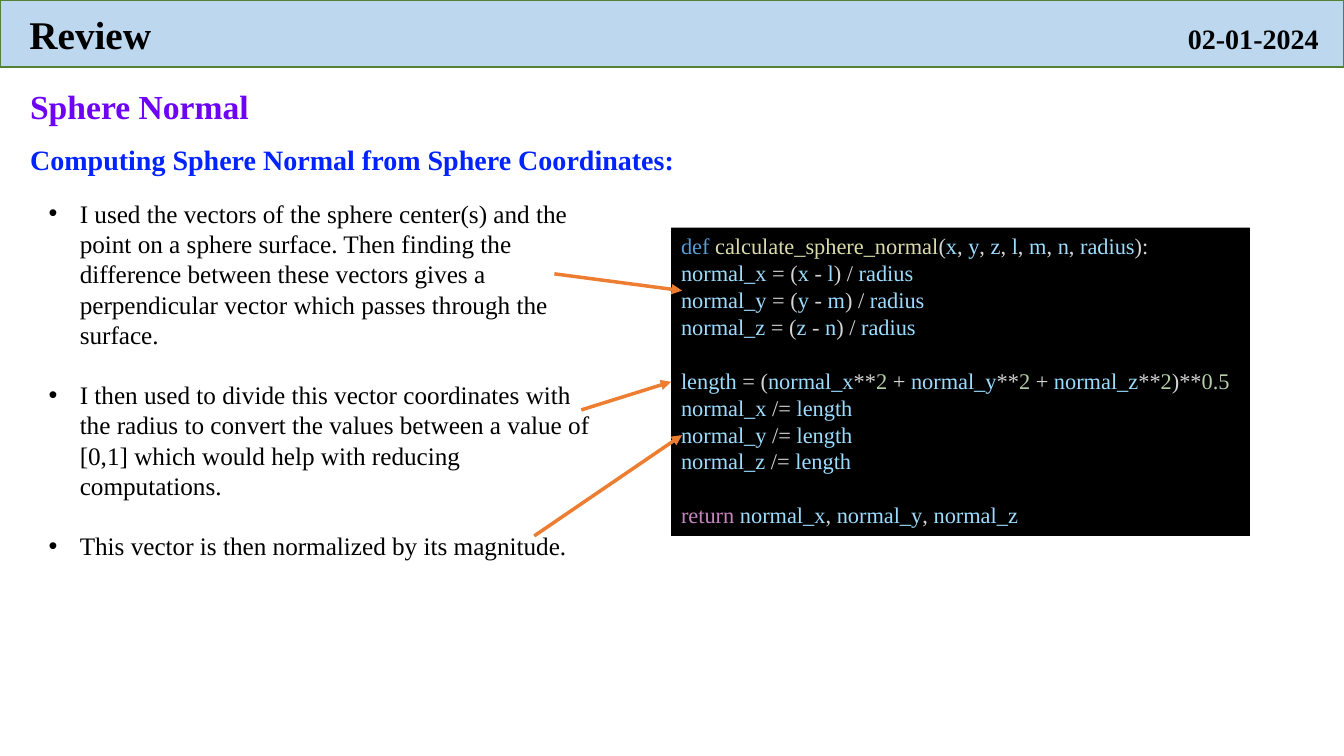
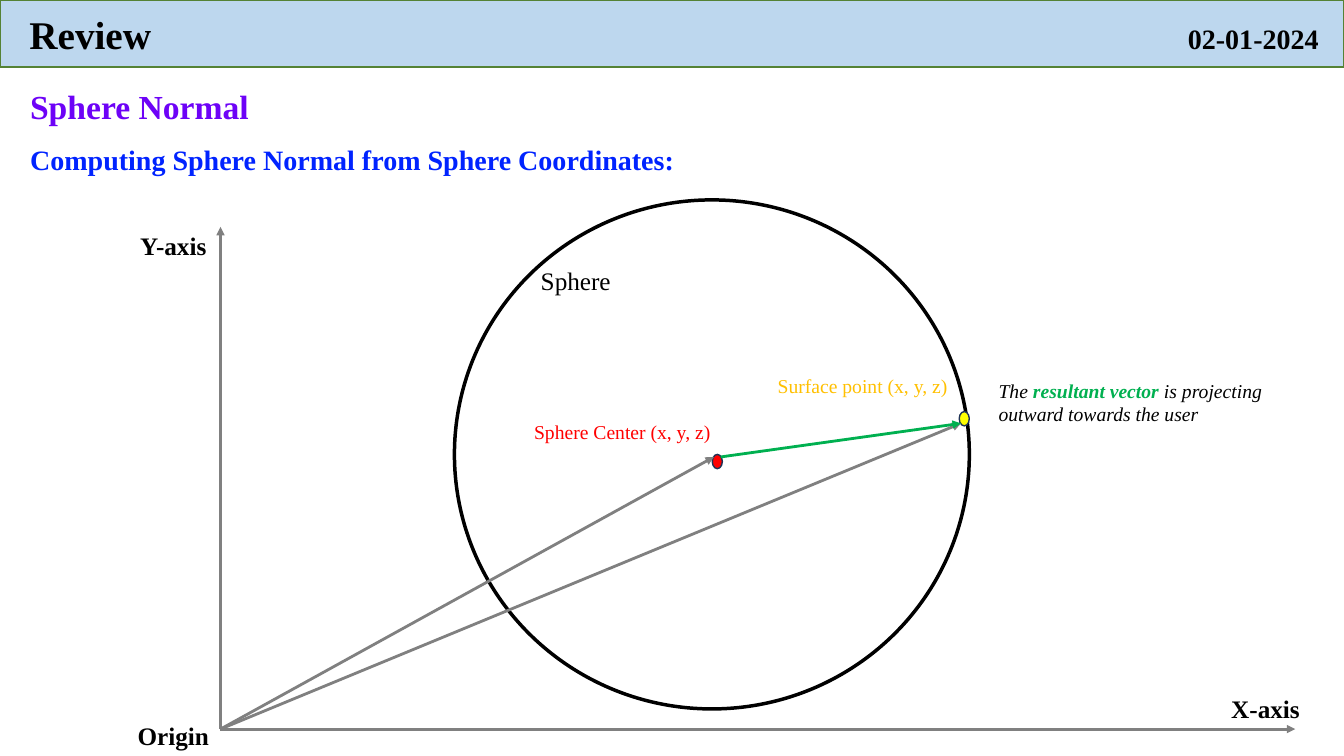
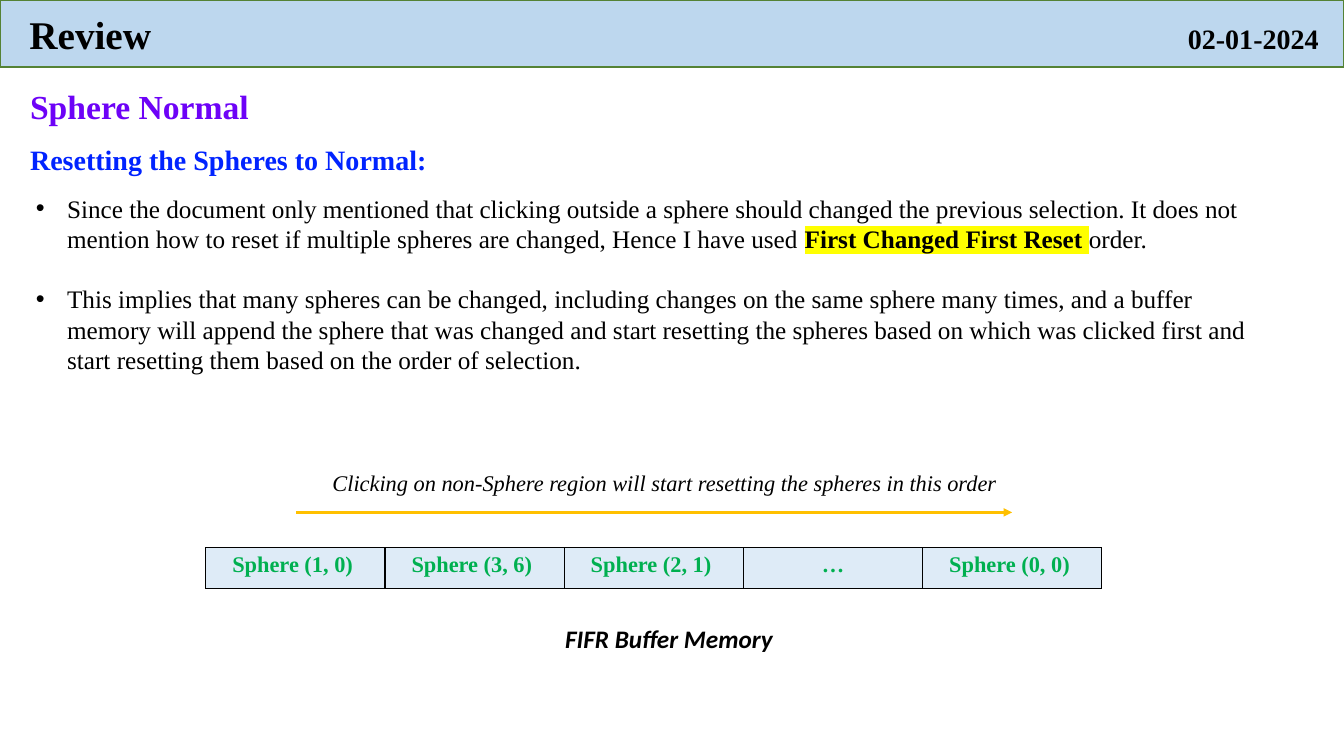
from itertools import groupby

from lxml import etree
from pptx import Presentation
from pptx.dml.color import RGBColor
from pptx.enum.shapes import MSO_CONNECTOR, MSO_SHAPE
from pptx.enum.text import MSO_ANCHOR, MSO_AUTO_SIZE, PP_ALIGN
from pptx.oxml.ns import qn
from pptx.util import Inches, Pt

RECTANGLE = MSO_SHAPE.RECTANGLE
OVAL = MSO_SHAPE.OVAL
STRAIGHT = MSO_CONNECTOR.STRAIGHT
TOP = MSO_ANCHOR.TOP
MIDDLE = MSO_ANCHOR.MIDDLE
LEFT = PP_ALIGN.LEFT
CENTER = PP_ALIGN.CENTER
GROW = MSO_AUTO_SIZE.SHAPE_TO_FIT_TEXT
LEFT_SIDE = 1

BLACK = RGBColor(0x00, 0x00, 0x00)
WHITE = RGBColor(0xFF, 0xFF, 0xFF)
BAND_BLUE = RGBColor(0xBD, 0xD7, 0xEE)
BAND_GREEN = RGBColor(0x54, 0x82, 0x35)
PURPLE = RGBColor(0x6D, 0x02, 0xF7)
BLUE = RGBColor(0x00, 0x23, 0xFF)
ORANGE = RGBColor(0xED, 0x7D, 0x31)
GRAY = RGBColor(0x80, 0x80, 0x80)
GREEN = RGBColor(0x00, 0xB0, 0x50)
RED = RGBColor(0xFF, 0x00, 0x00)
YELLOW = RGBColor(0xFF, 0xFF, 0x00)
GOLD = RGBColor(0xFF, 0xC0, 0x00)
NAVY = RGBColor(0x1E, 0x32, 0x56)
CELL_BLUE = RGBColor(0xDE, 0xEB, 0xF7)
CODE_PLAIN = RGBColor(0xD4, 0xD4, 0xD4)
CODE_VARIABLE = RGBColor(0x9C, 0xDC, 0xFE)
CODE_NUMBER = RGBColor(0xB5, 0xCE, 0xA8)
CODE_WORDS = {
    "def": RGBColor(0x56, 0x9C, 0xD6),
    "return": RGBColor(0xC5, 0x86, 0xC0),
    "calculate_sphere_normal": RGBColor(0xDC, 0xDC, 0xAA),
}

COLUMNS = 160
ROWS = 90
BULLET_INDENT = Inches(0.31)

NORMAL_CODE = [
    """def calculate_sphere_normal(x, y, z, l, m, n, radius):
normal_x = (x - l) / radius
normal_y = (y - m) / radius
normal_z = (z - n) / radius""",
    """length = (normal_x**2 + normal_y**2 + normal_z**2)**0.5
normal_x /= length
normal_y /= length
normal_z /= length""",
    "return normal_x, normal_y, normal_z",
]


def add_text(paragraph, text, size=18, color=BLACK, bold=False, italic=False,
             font="Times New Roman", highlight=None):
    run = paragraph.add_run()
    run.text = text
    run.font.size = Pt(size)
    run.font.bold = bold
    run.font.italic = italic
    run.font.color.rgb = color
    run.font.name = font
    if highlight is not None:
        marker = etree.Element(qn("a:highlight"))
        etree.SubElement(marker, qn("a:srgbClr"), val=str(highlight))
        run.font._element.find(qn("a:latin")).addprevious(marker)


def code_color(word, is_word):
    if not is_word:
        return CODE_PLAIN
    if word[0].isdigit():
        return CODE_NUMBER
    return CODE_WORDS.get(word, CODE_VARIABLE)


def is_word_character(character):
    return character.isalnum() or character in "_."


class Deck:
    def __init__(self):
        self.presentation = Presentation()
        self.presentation.slide_width = Inches(40 / 3)
        self.presentation.slide_height = Inches(7.5)
        self.slide = None

    def x(self, column):
        return round(self.presentation.slide_width * column / COLUMNS)

    def y(self, row):
        return round(self.presentation.slide_height * row / ROWS)

    def box(self, left, top, width, height):
        return self.x(left), self.y(top), self.x(width), self.y(height)

    def start_slide(self, subtitle):
        layout = self.presentation.slide_layouts[6]
        self.slide = self.presentation.slides.add_slide(layout)
        self.text((2.4, 9.6, 86.5, 6), "Sphere Normal", size=24, color=PURPLE, bold=True)
        self.band("Review", "02-01-2024")
        self.text((2.4, 16.4, 151, 5.3), subtitle, size=20, color=BLUE, bold=True)

    def band(self, title, date):
        margin, date_end = 3.5, 157
        band = self.shape(RECTANGLE, (0, 0, COLUMNS, 8), BAND_BLUE, BAND_GREEN)
        frame = band.text_frame
        frame.margin_left = self.x(margin)
        frame.vertical_anchor = MIDDLE
        paragraph = frame.paragraphs[0]
        paragraph.alignment = LEFT
        tabs = etree.SubElement(paragraph._p.get_or_add_pPr(), qn("a:tabLst"))
        etree.SubElement(tabs, qn("a:tab"), pos=str(self.x(date_end - margin)), algn="r")
        add_text(paragraph, title, size=28, bold=True)
        add_text(paragraph, "\t" + date, size=20, bold=True)

    def shape(self, kind, area, fill, line=None, width=1):
        shape = self.slide.shapes.add_shape(kind, *self.box(*area))
        shape.shadow.inherit = False
        shape.fill.solid()
        shape.fill.fore_color.rgb = fill
        if line is None:
            shape.line.fill.background()
        else:
            shape.line.color.rgb = line
            shape.line.width = Pt(width)
        return shape

    def text_frame(self, area, wrap=True):
        frame = self.slide.shapes.add_textbox(*self.box(*area)).text_frame
        frame.word_wrap = wrap
        frame.auto_size = GROW
        return frame

    def text(self, area, text, wrap=True, **style):
        add_text(self.text_frame(area, wrap).paragraphs[0], text, **style)

    def rich_text(self, area, runs):
        paragraph = self.text_frame(area).paragraphs[0]
        for text, style in runs:
            add_text(paragraph, text, **style)

    def bullets(self, area, items):
        frame = self.text_frame(area)
        for index, runs in enumerate(items):
            paragraph = frame.add_paragraph() if index else frame.paragraphs[0]
            if index:
                paragraph.space_before = Pt(21.6)
            properties = paragraph._p.get_or_add_pPr()
            properties.set("marL", str(BULLET_INDENT))
            properties.set("indent", str(-BULLET_INDENT))
            etree.SubElement(properties, qn("a:buFont"), typeface="Arial")
            etree.SubElement(properties, qn("a:buChar"), char="•")
            for text, style in runs:
                add_text(paragraph, text, **style)

    def code(self, area, blocks):
        panel = self.shape(RECTANGLE, area, BLACK)
        frame = panel.text_frame
        frame.vertical_anchor = TOP
        frame.word_wrap = True
        lines = [(line, number == 0) for block in blocks
                 for number, line in enumerate(block.splitlines())]
        for index, (line, opens_block) in enumerate(lines):
            paragraph = frame.add_paragraph() if index else frame.paragraphs[0]
            paragraph.alignment = LEFT
            if index and opens_block:
                paragraph.space_before = Pt(19.2)
            for is_word, characters in groupby(line, is_word_character):
                token = "".join(characters)
                add_text(paragraph, token, size=16, color=code_color(token, is_word))
        return panel

    def arrow(self, start, end, color, width=2.0, target=None):
        connector = self.slide.shapes.add_connector(
            STRAIGHT, self.x(start[0]), self.y(start[1]), self.x(end[0]), self.y(end[1]))
        if target is not None:
            connector.end_connect(target, LEFT_SIDE)
        connector.line.color.rgb = color
        connector.line.width = Pt(width)
        line = connector.line._get_or_add_ln()
        etree.SubElement(line, qn("a:tailEnd"), type="triangle")
        etree.SubElement(connector._element.spPr, qn("a:effectLst"))

    def table_row(self, area, values, **style):
        frame = self.slide.shapes.add_table(1, len(values), *self.box(*area))
        table = frame.table
        table.first_row = False
        table.horz_banding = False
        for cell, value in zip(table.rows[0].cells, values):
            cell.fill.solid()
            cell.fill.fore_color.rgb = CELL_BLUE
            paragraph = cell.text_frame.paragraphs[0]
            paragraph.alignment = CENTER
            add_text(paragraph, value, **style)
            properties = cell._tc.get_or_add_tcPr()
            for position, side in enumerate(("lnL", "lnR", "lnT", "lnB")):
                border = etree.Element(qn("a:" + side), w=str(Pt(1)))
                fill = etree.SubElement(border, qn("a:solidFill"))
                etree.SubElement(fill, qn("a:srgbClr"), val=str(BLACK))
                properties.insert(position, border)


def build_code_slide(deck):
    deck.start_slide("Computing Sphere Normal from Sphere Coordinates:")
    explanations = [
        "I used the vectors of the sphere center(s) and the point on a sphere surface. "
        "Then finding the difference between these vectors gives a perpendicular vector "
        "which passes through the surface.",
        "I then used to divide this vector coordinates with the radius to convert the "
        "values between a value of [0,1] which would help with reducing computations.",
        "This vector is then normalized by its magnitude.",
    ]
    deck.bullets((4.6, 23, 68.9, 44.9), [[(text, {})] for text in explanations])
    panel = deck.code((79.9, 27.1, 68.9, 36.7), NORMAL_CODE)
    for start, end, target in [
        ((63.6, 63.8), (81.2, 51.8), None),
        ((69.2, 48.8), (79.9, 45.5), panel),
        ((66, 32.6), (81.2, 34.6), None),
    ]:
        deck.arrow(start, end, ORANGE, 2.5, target)


def build_diagram_slide(deck):
    deck.start_slide("Computing Sphere Normal from Sphere Coordinates:")
    deck.shape(OVAL, (54.1, 23.8, 61.3, 60.6), WHITE, BLACK, 2.5)
    for left, top, color in [(84.8, 54.1, RED), (114.2, 49, YELLOW)]:
        deck.shape(OVAL, (left, top, 1.2, 1.7), color, NAVY)

    origin = (26.25, 86.8)
    surface = (114.4, 50.4)
    for end in [(154.2, 86.8), (26.25, 27), (85, 54.4), surface]:
        deck.arrow(origin, end, GRAY)
    deck.arrow((85.8, 54.4), surface, GREEN)

    for area, text, style in [
        ((15.5, 26.8, 10.4, 4.8), "Y-axis", {"bold": True}),
        ((145.4, 82, 12.7, 4.8), "X-axis", {"bold": True}),
        ((63.2, 31, 11, 4.8), "Sphere", {}),
        ((62.4, 49.4, 23.6, 4.1), "Sphere Center (x, y, z)", {"size": 14, "color": RED}),
        ((91.4, 43.9, 22.8, 4.1), "Surface point (x, y, z)", {"size": 14, "color": GOLD}),
        ((15.2, 85.2, 11, 4.8), "Origin", {"bold": True}),
    ]:
        deck.text(area, text, wrap=False, **style)

    note = {"size": 14, "italic": True}
    deck.rich_text((117.7, 44.5, 38.5, 6.8), [
        ("The ", note),
        ("resultant vector", {**note, "color": GREEN, "bold": True}),
        (" is projecting outward towards the user", note),
    ])


def build_reset_slide(deck):
    deck.start_slide("Resetting the Spheres to Normal:")
    deck.bullets((3.1, 22.4, 149.5, 26.6), [
        [
            ("Since the document only mentioned that clicking outside a sphere should "
             "changed the previous selection. It does not mention how to reset if multiple "
             "spheres are changed, Hence I have used ", {}),
            ("First Changed First Reset ", {"bold": True, "highlight": YELLOW}),
            ("order.", {}),
        ],
        [
            ("This implies that many spheres can be changed, including changes on the same "
             "sphere many times, and a buffer memory will append the sphere that was changed "
             "and start resetting the spheres based on which was clicked first and start "
             "resetting them based on the order of selection.", {}),
        ],
    ])
    deck.table_row(
        (24.5, 65.2, 106.7, 4.9),
        ["Sphere (1, 0) ", "Sphere (3, 6) ", "Sphere (2, 1) ", "…", "Sphere (0, 0) "],
        size=16, color=GREEN, bold=True)
    deck.text((66.1, 73.6, 27.6, 4.8), "FIFR Buffer Memory", wrap=False,
              font="Calibri", bold=True, italic=True)
    deck.arrow((35.3, 61), (120.5, 61), GOLD)
    deck.text((38.4, 55.2, 83.2, 4.4),
              "Clicking on non-Sphere region will start resetting the spheres in this order",
              wrap=False, size=16, italic=True)


def main():
    deck = Deck()
    build_code_slide(deck)
    build_diagram_slide(deck)
    build_reset_slide(deck)
    deck.presentation.save("out.pptx")


if __name__ == "__main__":
    main()
